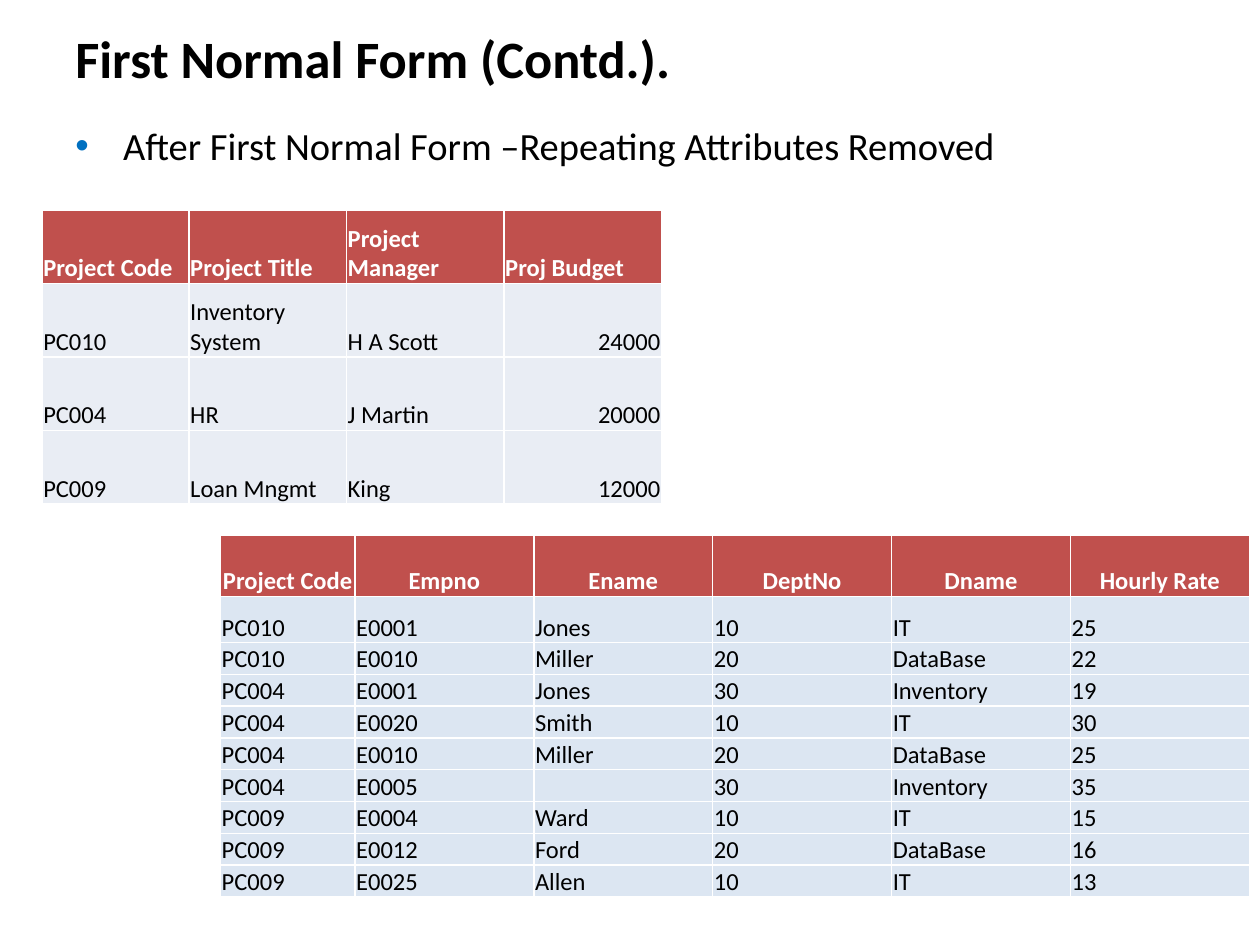
from lxml.etree import SubElement
from pptx import Presentation
from pptx.dml.color import RGBColor
from pptx.enum.text import MSO_ANCHOR, PP_ALIGN
from pptx.oxml.ns import qn
from pptx.util import Inches, Pt

FONT = "Calibri"
COLORS = {
    "text": "000000",
    "white": "FFFFFF",
    "bullet": "0070C0",
    "header": "C0504D",
    "project_row": "E9EDF4",
    "employee_row": "DCE6F2",
}
UNIT = Inches(1) // 12  # the slide is a grid of 120 columns by 90 rows
SLIDE_COLUMNS, SLIDE_ROWS = 120, 90

PROJECTS = [
    ["Project Code", "Project Title", "Project Manager", "Proj Budget"],
    ["PC010", "Inventory System", "H A Scott", "24000"],
    ["PC004", "HR", "J Martin", "20000"],
    ["PC009", "Loan Mngmt", "King", "12000"],
]
EMPLOYEES = [
    ["Project Code", "Empno", "Ename", "DeptNo", "Dname", "Hourly Rate"],
    ["PC010", "E0001", "Jones", "10", "IT", "25"],
    ["PC010", "E0010", "Miller", "20", "DataBase", "22"],
    ["PC004", "E0001", "Jones", "30", "Inventory", "19"],
    ["PC004", "E0020", "Smith", "10", "IT", "30"],
    ["PC004", "E0010", "Miller", "20", "DataBase", "25"],
    ["PC004", "E0005", "", "30", "Inventory", "35"],
    ["PC009", "E0004", "Ward", "10", "IT", "15"],
    ["PC009", "E0012", "Ford", "20", "DataBase", "16"],
    ["PC009", "E0025", "Allen", "10", "IT", "13"],
]


def grid(*counts):
    return [round(count * UNIT) for count in counts]


def rgb(name):
    return RGBColor.from_string(COLORS[name])


def format_text(paragraph, size, color, bold=False):
    for run in paragraph.runs:
        run.font.name = FONT
        run.font.size = Pt(size)
        run.font.bold = bold
        run.font.color.rgb = rgb(color)
    if not paragraph.runs:
        # An empty cell still takes its row height from the end mark.
        SubElement(paragraph._p, qn("a:endParaRPr"), sz=str(size * 100))


def add_line(slide, box, text, size, bold=False):
    shape = slide.shapes.add_textbox(*grid(*box))
    shape.text_frame.word_wrap = True
    shape.text_frame.text = text
    paragraph = shape.text_frame.paragraphs[0]
    format_text(paragraph, size, "text", bold)
    return paragraph


def add_title(slide, box):
    add_line(slide, box, "First Normal Form (Contd.).", 30, bold=True)


def add_bullet(slide, box):
    paragraph = add_line(
        slide, box, "After First Normal Form –Repeating Attributes Removed", 22)
    paragraph.space_before = Pt(4.4)
    properties = paragraph._p.get_or_add_pPr()
    indent = Inches(0.38)
    properties.set("marL", str(indent))
    properties.set("indent", str(-indent))
    bullet_color = SubElement(properties, qn("a:buClr"))
    SubElement(bullet_color, qn("a:srgbClr"), val=COLORS["bullet"])
    SubElement(properties, qn("a:buFont"), typeface="Arial")
    SubElement(properties, qn("a:buChar"), char="•")


def add_borders(cell):
    properties = cell._tc.get_or_add_tcPr()
    for index, side in enumerate(("a:lnL", "a:lnR", "a:lnT", "a:lnB")):
        line = properties.makeelement(qn(side), {"w": str(Pt(1))})
        fill = SubElement(line, qn("a:solidFill"))
        SubElement(fill, qn("a:srgbClr"), val=COLORS["white"])
        properties.insert(index, line)


def format_cell(cell, text, fill, alignment, is_header):
    cell.margin_left = cell.margin_right = cell.margin_top = Inches(0.01)
    cell.margin_bottom = 0
    cell.vertical_anchor = MSO_ANCHOR.BOTTOM
    cell.fill.solid()
    cell.fill.fore_color.rgb = rgb(fill)
    add_borders(cell)
    cell.text_frame.text = text
    paragraph = cell.text_frame.paragraphs[0]
    paragraph.alignment = alignment
    format_text(paragraph, 14, "white" if is_header else "text", is_header)


def add_data_table(slide, origin, columns, rows, records, row_fill,
                   header_alignment, body_alignments):
    box = (*origin, sum(columns), sum(rows))
    table = slide.shapes.add_table(len(rows), len(columns), *grid(*box)).table
    for column, width in zip(table.columns, grid(*columns)):
        column.width = width
    for row, height in zip(table.rows, grid(*rows)):
        row.height = height
    for row_index, record in enumerate(records):
        is_header = row_index == 0
        fill = "header" if is_header else row_fill
        for column_index, text in enumerate(record):
            alignment = (header_alignment if is_header
                         else body_alignments[column_index])
            format_cell(table.cell(row_index, column_index), text, fill,
                        alignment, is_header)


def add_normal_form_slide(presentation):
    slide = presentation.slides.add_slide(presentation.slide_layouts[6])
    add_bullet(slide, (6, 11, 108, 58.7))
    add_title(slide, (6, 1.9, 108, 7.3))
    add_data_table(
        slide, (4, 20), [14] + [15] * 3, [7] * 4, PROJECTS, "project_row",
        PP_ALIGN.LEFT, [PP_ALIGN.LEFT] * 3 + [PP_ALIGN.RIGHT])
    add_data_table(
        slide, (21, 51), [12.8] + [17.04] * 5, [5.8, 4.4] + [3.03] * 8,
        EMPLOYEES, "employee_row", PP_ALIGN.CENTER, [PP_ALIGN.LEFT] * 6)


def main():
    presentation = Presentation()
    presentation.slide_width, presentation.slide_height = grid(
        SLIDE_COLUMNS, SLIDE_ROWS)
    add_normal_form_slide(presentation)
    presentation.save("out.pptx")


if __name__ == "__main__":
    main()
